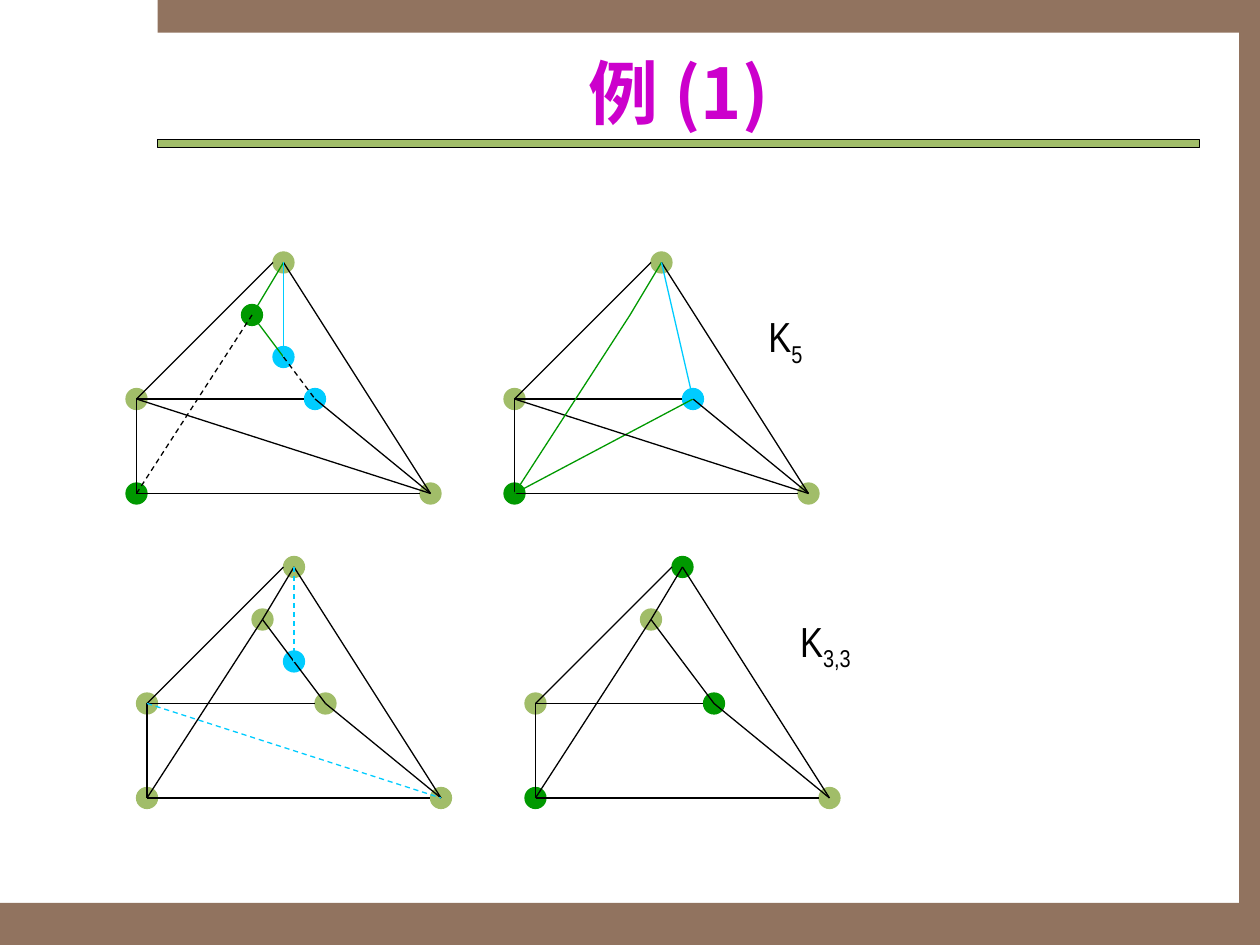
"""Build the slide of K5 and K3,3 graph drawings."""
from lxml.etree import SubElement
from pptx import Presentation
from pptx.dml.color import RGBColor
from pptx.enum.dml import MSO_LINE
from pptx.enum.shapes import MSO_CONNECTOR, MSO_SHAPE
from pptx.enum.text import MSO_ANCHOR, MSO_AUTO_SIZE, PP_ALIGN
from pptx.oxml.ns import qn
from pptx.util import Cm, Pt

COLORS = {
    "brown": "91735F", "olive": "A1BD69", "black": "000000",
    "pink": "CC00CC", "green": "009900", "blue": "00CCFF",
}
UNIT = 2.54 / 12
SPOTS = {
    "top": (14, -13), "upper": (11, -8), "mid": (14, -4), "right": (17, 0),
    "left": (0, 0), "low": (0, 9), "far": (28, 9),
    "near top": (13, -13), "near right": (16, 0), "near far": (27, 9),
}
FRAME = [
    ("left", "low"), ("low", "near far"), ("left", "near right"),
    ("right", "far"), ("left", "near top"), ("top", "far"),
]
GRAPHS = [
    {
        "start": (13, 38),
        "nodes": {"top": "olive", "upper": "green", "mid": "blue", "right": "blue",
                  "left": "olive", "low": "green", "far": "olive"},
        "edges": [("upper", "mid", "green"), ("mid", "right", "black", True),
                  ("upper", "top", "green"), ("left", "far", "black"),
                  ("low", "upper", "black", True), ("top", "mid", "blue")],
    },
    {
        "start": (49, 38),
        "nodes": {"top": "olive", "right": "blue", "left": "olive",
                  "low": "green", "far": "olive"},
        "edges": [("low", "right", "green"), ("upper", "top", "green"),
                  ("left", "far", "black"), ("low", "upper", "green"),
                  ("top", "right", "blue")],
    },
    {
        "start": (14, 67),
        "nodes": {"top": "olive", "upper": "olive", "mid": "blue", "right": "olive",
                  "left": "olive", "low": "olive", "far": "olive"},
        "edges": [("upper", "mid", "black"), ("mid", "right", "black"),
                  ("upper", "top", "black"), ("left", "far", "blue", True),
                  ("low", "upper", "black"), ("top", "mid", "blue", True)],
    },
    {
        "start": (51, 67),
        "nodes": {"top": "green", "upper": "olive", "right": "green",
                  "left": "olive", "low": "green", "far": "olive"},
        "edges": [("upper", "mid", "black"), ("mid", "right", "black"),
                  ("upper", "top", "black"), ("low", "upper", "black")],
    },
]


def get_color(name):
    """Return the named colour."""
    return RGBColor.from_string(COLORS[name])


def add_form(slide, kind, box, fill, line=None):
    """Add a filled preset shape with an optional outline."""
    form = slide.shapes.add_shape(kind, *map(Cm, box))
    form.shadow.inherit = False
    form.fill.solid()
    form.fill.fore_color.rgb = get_color(fill)
    if line:
        form.line.color.rgb = get_color(line)
        form.line.width = Pt(0.75)
    else:
        form.line.fill.background()


def add_edge(slide, start, end, color="black", dashed=False):
    """Join two points with a thin line."""
    edge = slide.shapes.add_connector(
        MSO_CONNECTOR.STRAIGHT, *map(Cm, start), *map(Cm, end))
    edge.line.color.rgb = get_color(color)
    edge.line.width = Pt(0.75)
    if dashed:
        edge.line.dash_style = MSO_LINE.DASH
    SubElement(edge._element.spPr, qn("a:effectLst"))


def add_text(par, text, size=24, font="Arial Narrow", color="black",
             bold=False, base=0):
    """Add a formatted run to a paragraph."""
    run = par.add_run()
    run.text = text
    run.font.size = Pt(size)
    run.font.bold = bold
    run.font.name = font
    run.font.color.rgb = get_color(color)
    props = run._r.get_or_add_rPr()
    SubElement(props, qn("a:ea"), typeface=font)
    if base:
        props.set("baseline", str(base * 1000))


def add_label(slide, box, index):
    """Add a graph name K with a lowered index."""
    frame = slide.shapes.add_textbox(*map(Cm, box)).text_frame
    frame.word_wrap = True
    frame.auto_size = MSO_AUTO_SIZE.SHAPE_TO_FIT_TEXT
    par = frame.paragraphs[0]
    add_text(par, "K")
    add_text(par, index, base=-25)


def add_graph(slide, start, nodes, edges):
    """Draw the nodes of a graph and then its edges."""
    points = {name: ((start[0] + x) * UNIT, (start[1] + y) * UNIT)
              for name, (x, y) in SPOTS.items()}
    for name, color in nodes.items():
        x, y = points[name]
        box = (x - UNIT, y - UNIT, 2 * UNIT, 2 * UNIT)
        add_form(slide, MSO_SHAPE.OVAL, box, color, color)
    for tail, head, *style in FRAME + edges:
        add_edge(slide, points[tail], points[head], *style)


def set_title(slide, text):
    """Place and fill the title."""
    title = slide.shapes.title
    title.left, title.top = Cm(3.18), Cm(0.85)
    title.width, title.height = Cm(21), Cm(2)
    title.text_frame.vertical_anchor = MSO_ANCHOR.MIDDLE
    par = title.text_frame.paragraphs[0]
    par.alignment = PP_ALIGN.CENTER
    add_text(par, text, size=40, font="Noto Sans CJK SC", color="pink", bold=True)


def main():
    """Build and save the slide."""
    deck = Presentation()
    deck.slide_width, deck.slide_height = Cm(25.4), Cm(19.05)
    slide = deck.slides.add_slide(deck.slide_layouts[5])
    for box in [(0, 18.2, 25.4, 0.85), (3.18, 0, 22.22, 0.66),
                (24.98, 0.64, 0.42, 17.57)]:
        add_form(slide, MSO_SHAPE.RECTANGLE, box, "brown")
    add_form(slide, MSO_SHAPE.RECTANGLE, (3.18, 2.81, 21, 0.16), "olive", "black")
    set_title(slide, "例 (1)")
    for graph in GRAPHS:
        add_graph(slide, **graph)
    add_label(slide, (15.24, 6.14, 1.48, 1.42), "5")
    add_label(slide, (15.88, 12.28, 2.12, 1.42), "3,3")
    deck.save("out.pptx")


if __name__ == "__main__":
    main()
